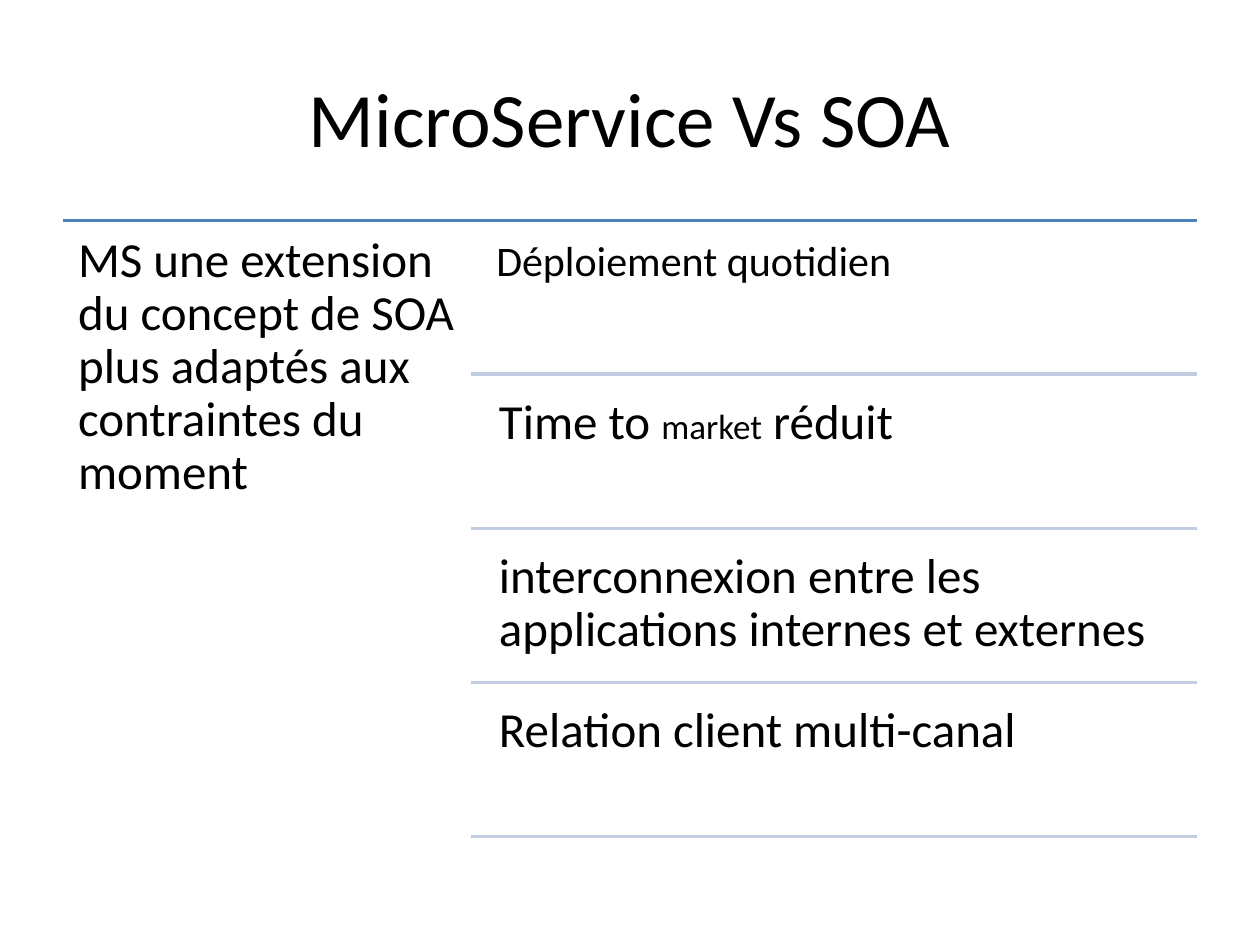
from dataclasses import dataclass

from lxml.etree import SubElement
from pptx import Presentation
from pptx.dml.color import RGBColor
from pptx.enum.shapes import MSO_CONNECTOR as Connector
from pptx.enum.text import MSO_ANCHOR as Anchor, MSO_AUTO_SIZE as AutoSize, PP_ALIGN as Align
from pptx.oxml.ns import qn
from pptx.util import Inches, Pt


@dataclass(frozen=True)
class Theme:
    """Colours and type sizes of the slide."""

    font: str = "Calibri"
    text: RGBColor = RGBColor(0x00, 0x00, 0x00)
    background: RGBColor = RGBColor(0xFF, 0xFF, 0xFF)
    accent: RGBColor = RGBColor(0x4F, 0x81, 0xBD)
    divider: RGBColor = RGBColor(0xC2, 0xCD, 0xE1)
    title_size: int = 44
    body_size: int = 28
    medium_size: int = 24
    small_size: int = 20
    line_width: int = 2


class SlideBuilder:
    """Draws styled elements on one slide."""

    def __init__(self, slide, theme):
        """Keep the slide and theme and paint the background."""
        self.slide = slide
        self.theme = theme
        slide.background.fill.solid()
        slide.background.fill.fore_color.rgb = theme.background

    def style(self, font, size):
        """Apply the theme's typeface and colour at the given size."""
        font.name = self.theme.font
        font.size = Pt(size)
        font.color.rgb = self.theme.text

    def title(self, text, left, top, width, height):
        """Place and fill the title placeholder."""
        shape = self.slide.shapes.title
        shape.left, shape.top = Inches(left), Inches(top)
        shape.width, shape.height = Inches(width), Inches(height)
        frame = shape.text_frame
        frame.text = text
        frame.vertical_anchor = Anchor.MIDDLE
        frame.paragraphs[0].alignment = Align.CENTER
        self.style(frame.paragraphs[0].font, self.theme.title_size)

    def rule(self, left, right, y, color):
        """Draw a horizontal rule."""
        line = self.slide.shapes.add_connector(
            Connector.STRAIGHT, Inches(left), Inches(y), Inches(right), Inches(y)
        )
        line.line.color.rgb = color
        line.line.width = Pt(self.theme.line_width)
        SubElement(line._element.spPr, qn("a:effectLst"))

    def text(self, runs, left, top, width, height, inset):
        """Add a text box holding one paragraph of (text, size) runs."""
        shape = self.slide.shapes.add_textbox(
            Inches(left), Inches(top), Inches(width), Inches(height)
        )
        frame = shape.text_frame
        frame.word_wrap = True
        frame.auto_size = AutoSize.NONE
        frame.vertical_anchor = Anchor.TOP
        frame.margin_left = frame.margin_right = Inches(inset)
        frame.margin_top = frame.margin_bottom = Inches(inset)
        paragraph = frame.paragraphs[0]
        paragraph.alignment = Align.LEFT
        paragraph.line_spacing = 0.9
        self.style(paragraph.font, runs[0][1])
        for content, size in runs:
            run = paragraph.add_run()
            run.text = content
            self.style(run.font, size)


def main():
    """Build and save the comparison slide."""
    presentation = Presentation()
    presentation.slide_width, presentation.slide_height = Inches(10), Inches(7.5)
    theme = Theme()
    slide = presentation.slides.add_slide(presentation.slide_layouts[5])
    builder = SlideBuilder(slide, theme)
    body = theme.body_size

    left, right, list_left = 0.5, 9.5, 3.74
    top, first_divider, last_divider = 1.75, 2.97, 6.64
    row_height = 1.16
    benefits = [
        ([("Déploiement quotidien", theme.medium_size)], 0.1),
        ([("Time to ", body), ("market", theme.small_size), (" réduit", body)], 0.12),
        ([("interconnexion entre les applications internes et externes", body)], 0.12),
        ([("Relation client multi-canal", body)], 0.12),
    ]
    pitch = (last_divider - first_divider) / (len(benefits) - 1)

    builder.title("MicroService Vs SOA", left, 0.3, right - left, 1.25)
    builder.rule(left, right, top, theme.accent)
    summary = "MS une extension du concept de SOA plus adaptés aux contraintes du moment"
    builder.text([(summary, body)], left, top, list_left - left, 4.95, 0.12)
    for index, (runs, inset) in enumerate(benefits):
        divider = first_divider + index * pitch
        builder.text(runs, list_left + 0.1, divider - row_height, 5.65, row_height, inset)
        builder.rule(list_left, right, divider, theme.divider)

    presentation.save("out.pptx")


if __name__ == "__main__":
    main()
